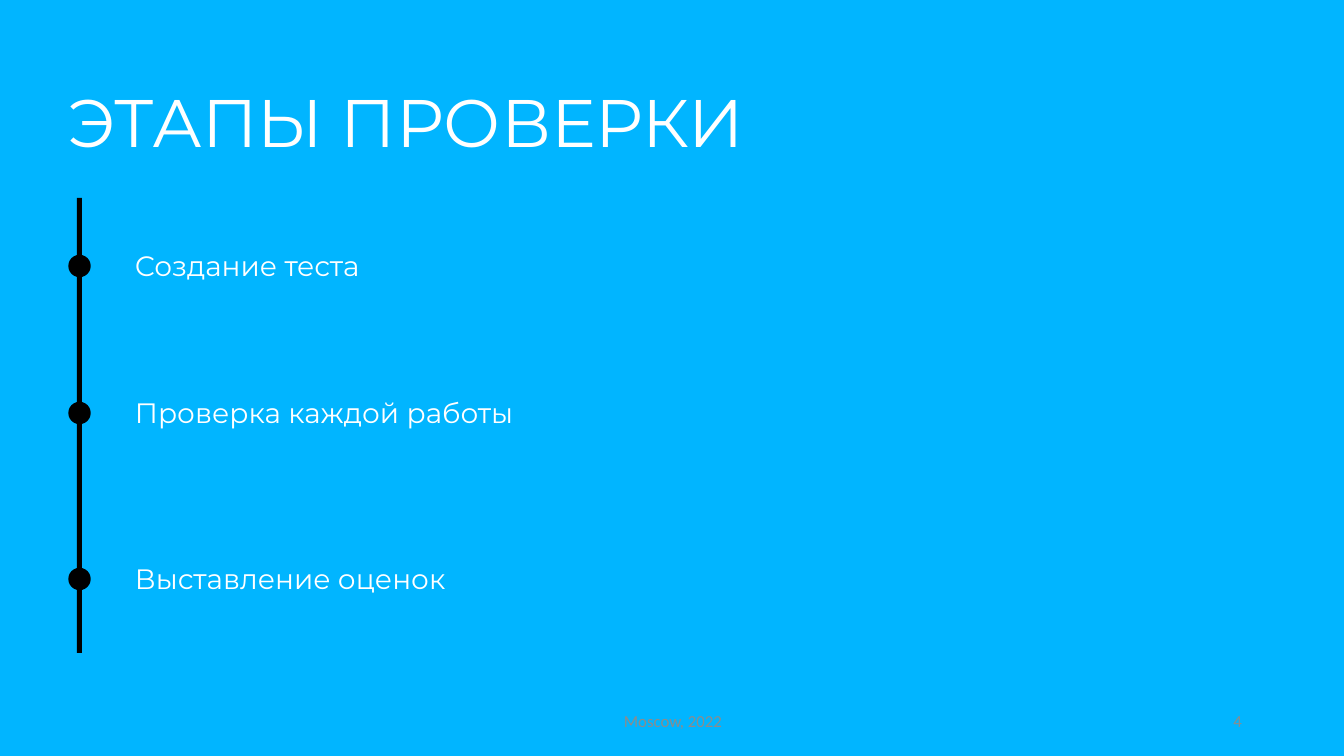
import pptx
import pptx.dml.color
import pptx.enum.shapes
import pptx.enum.text
import pptx.util

EMU_PER_PX = 914400 / 100.8
SKY = pptx.dml.color.RGBColor(0x01, 0xB5, 0xFF)
WHITE = pptx.dml.color.RGBColor(0xFF, 0xFF, 0xFF)
BLACK = pptx.dml.color.RGBColor(0x00, 0x00, 0x00)
GRAY = pptx.dml.color.RGBColor(0x8C, 0x8C, 0x8C)
ALIGN = pptx.enum.text.PP_ALIGN
ANCHOR = pptx.enum.text.MSO_ANCHOR
SHAPE = pptx.enum.shapes.MSO_SHAPE
STEPS = [("Создание теста", 46), ("Проверка каждой работы", 193), ("Выставление оценок", 359)]


def px(*lengths):
    """Turn pixel lengths into EMU."""
    return [pptx.util.Emu(round(length * EMU_PER_PX)) for length in lengths]


def write(shape, text, size, font, color, align=ALIGN.LEFT, anchor=ANCHOR.TOP):
    """Fill a shape with one formatted line of text."""
    frame = shape.text_frame
    frame.word_wrap = True
    frame.auto_size = pptx.enum.text.MSO_AUTO_SIZE.NONE
    frame.vertical_anchor = anchor
    frame.text = text
    para = frame.paragraphs[0]
    para.alignment = align
    span = para.runs[0]
    span.font.size = pptx.util.Pt(size)
    span.font.name = font
    span.font.color.rgb = color


def add_mark(page, kind, left, top, width, height):
    """Add a plain black shape and return it."""
    mark = page.shapes.add_shape(kind, *px(left, top, width, height))
    mark.shadow.inherit = False
    mark.fill.solid()
    mark.fill.fore_color.rgb = BLACK
    mark.line.fill.background()
    return mark


def add_title(page, left, top, width, height):
    """Place the heading in the title placeholder."""
    title = page.shapes.title
    title.left, title.top, title.width, title.height = px(left, top, width, height)
    write(title, "ЭТАПЫ ПРОВЕРКИ", 48, "Montserrat", WHITE)


def add_timeline(page, left, top, width, height):
    """Draw the vertical bar with a dot and a label for each step."""
    dot_size, bar_width, label_height, indent = 21, 5, 44, 56
    add_mark(page, SHAPE.RECTANGLE, left + (dot_size - bar_width) / 2, top, bar_width, height)
    for text, offset in STEPS:
        label_top = top + offset
        label = page.shapes.add_textbox(*px(left + indent, label_top, width - indent, label_height))
        write(label, text, 20, "Montserrat", WHITE)
        dot_top = label_top + (label_height - dot_size) / 2
        dot = add_mark(page, SHAPE.OVAL, left, dot_top, dot_size, dot_size)
        dot.line.color.rgb = BLACK
        dot.line.width = pptx.util.Pt(1)


def add_footer(page, left, top, width, height):
    """Place the city and year in the middle and the page number at the right."""
    number_width = 302
    parts = [
        ("Moscow, 2022", left, 454, ALIGN.CENTER),
        ("4", left + width - number_width, number_width, ALIGN.RIGHT),
    ]
    for text, part_left, part_width, align in parts:
        box = page.shapes.add_textbox(*px(part_left, top, part_width, height))
        write(box, text, 12, "Calibri", GRAY, align, ANCHOR.MIDDLE)


def main():
    """Build the slide and save the deck."""
    deck = pptx.Presentation()
    deck.slide_width, deck.slide_height = px(1344, 756)
    page = deck.slides.add_slide(deck.slide_layouts[5])
    page.background.fill.solid()
    page.background.fill.fore_color.rgb = SKY
    add_title(page, 58, 75, 1065, 92)
    add_footer(page, 446, 701, 806, 40)
    add_timeline(page, 69, 198, 1121, 455)
    deck.save("out.pptx")


if __name__ == "__main__":
    main()
